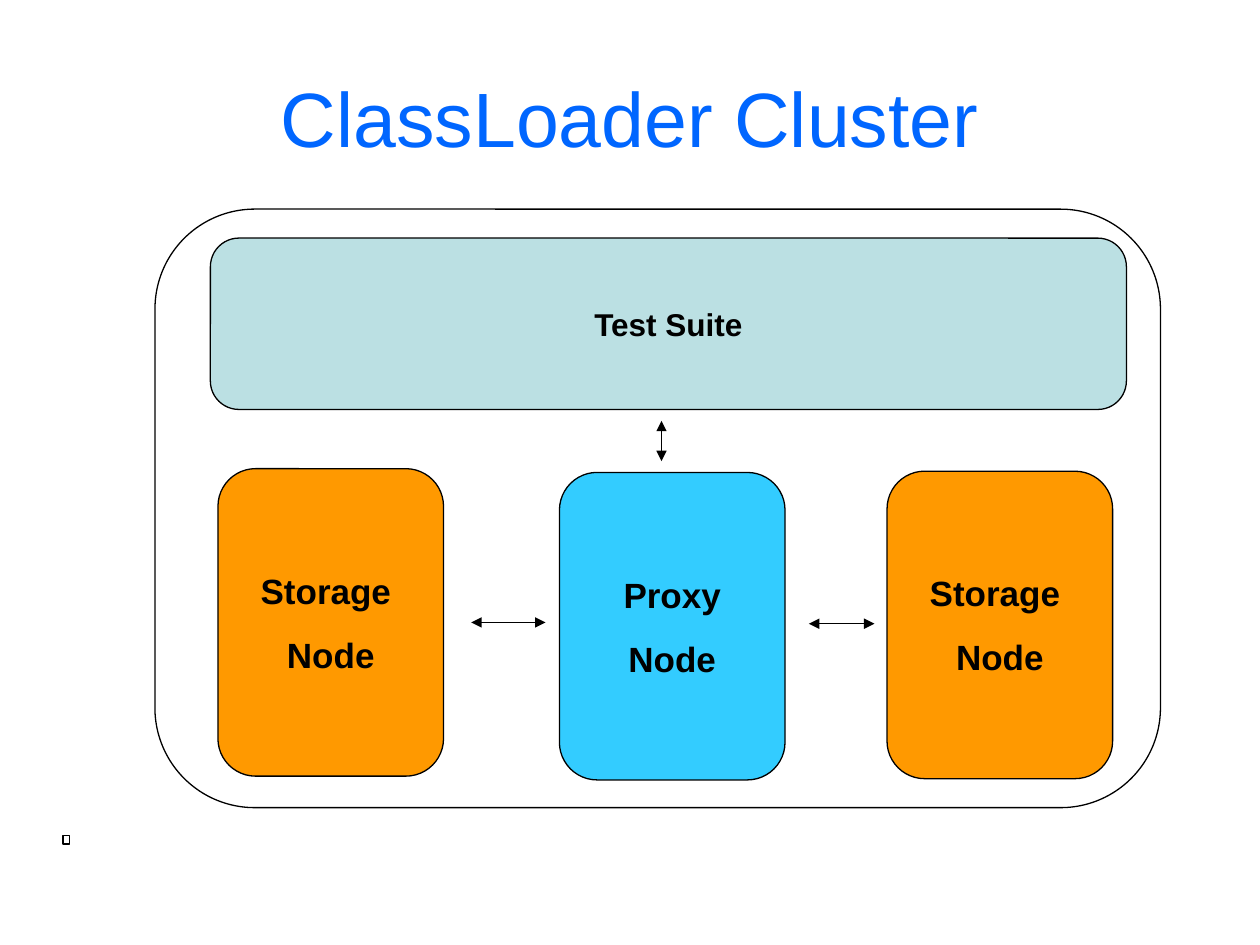
from dataclasses import dataclass

from pptx import Presentation
from pptx import util as u
from pptx.dml.color import RGBColor
from pptx.enum import shapes, text
from pptx.oxml.ns import qn
from lxml import etree


@dataclass(frozen=True)
class Theme:
    font: str = "Arial"
    title: str = "0066FF"
    ink: str = "000000"
    suite: str = "BBE0E3"
    storage: str = "FF9900"
    proxy: str = "33CCFF"
    title_size: int = 44
    suite_size: int = 18
    node_size: int = 20
    line_width: float = 0.75


class Diagram:
    """Holds the theme and the slide being drawn."""

    def __init__(self, prs, theme):
        self.theme = theme
        self.s = prs.slides.add_slide(prs.slide_layouts[5])

    def style_text(self, p, size, color, bold=False):
        p.alignment = text.PP_ALIGN.CENTER
        for r in p.runs:
            r.font.name = self.theme.font
            r.font.size = u.Pt(size)
            r.font.bold = bold
            r.font.color.rgb = RGBColor.from_string(color)

    def style_line(self, line):
        line.color.rgb = RGBColor.from_string(self.theme.ink)
        line.width = u.Pt(self.theme.line_width)

    def title(self, words, *box):
        sp = self.s.shapes.title
        sp.left, sp.top, sp.width, sp.height = map(u.Inches, box)
        tf = sp.text_frame
        tf.text = words
        tf.auto_size = text.MSO_AUTO_SIZE.NONE
        tf.vertical_anchor = text.MSO_ANCHOR.MIDDLE
        self.style_text(tf.paragraphs[0], self.theme.title_size, self.theme.title)

    def shape(self, kind, *box, fill=None):
        sp = self.s.shapes.add_shape(kind, *map(u.Inches, box))
        sp.shadow.inherit = False
        if fill:
            sp.fill.solid()
            sp.fill.fore_color.rgb = RGBColor.from_string(fill)
        else:
            sp.fill.background()
        self.style_line(sp.line)
        return sp

    def rounded(self, *box, fill=None, words="", size=18):
        sp = self.shape(shapes.MSO_SHAPE.FLOWCHART_ALTERNATE_PROCESS, *box, fill=fill)
        if not words:
            return
        tf = sp.text_frame
        tf.text = words
        tf.word_wrap = False
        tf.vertical_anchor = text.MSO_ANCHOR.MIDDLE
        tf.margin_left = tf.margin_right = tf.margin_top = tf.margin_bottom = 0
        for i, p in enumerate(tf.paragraphs):
            self.style_text(p, size, self.theme.ink, bold=True)
            p.space_before = u.Pt(12.5 if i else 0)

    def double_arrow(self, *ends):
        c = self.s.shapes.add_connector(
            shapes.MSO_CONNECTOR.STRAIGHT, *map(u.Inches, ends))
        self.style_line(c.line)
        ln = c.line._get_or_add_ln()
        for tag in ("a:headEnd", "a:tailEnd"):
            etree.SubElement(ln, qn(tag), type="triangle")
        etree.SubElement(c._element.spPr, qn("a:effectLst"))


def main():
    prs = Presentation()
    prs.slide_width, prs.slide_height = u.Inches(10), u.Inches(7.5)
    theme = Theme()
    d = Diagram(prs, theme)

    d.title("ClassLoader Cluster", 0.5, 0.3, 9, 1.25)
    d.rounded(1.23, 1.66, 7.98, 4.75)
    d.rounded(1.67, 1.89, 7.27, 1.36, fill=theme.suite,
              words="Test Suite", size=theme.suite_size)

    nodes = [
        (1.73, 3.72, "Storage \nNode", theme.storage),
        (4.44, 3.75, "Proxy\nNode", theme.proxy),
        (7.04, 3.74, "Storage \nNode", theme.storage),
    ]
    for left, top, words, fill in nodes:
        d.rounded(left, top, 1.79, 2.44, fill=fill, words=words, size=theme.node_size)

    d.shape(shapes.MSO_SHAPE.RECTANGLE, 0.5, 6.63, 0.05, 0.07)

    d.double_arrow(6.42, 4.95, 6.94, 4.95)
    d.double_arrow(4.33, 4.94, 3.74, 4.94)
    d.double_arrow(5.25, 3.34, 5.25, 3.66)

    prs.save("out.pptx")


if __name__ == "__main__":
    main()
